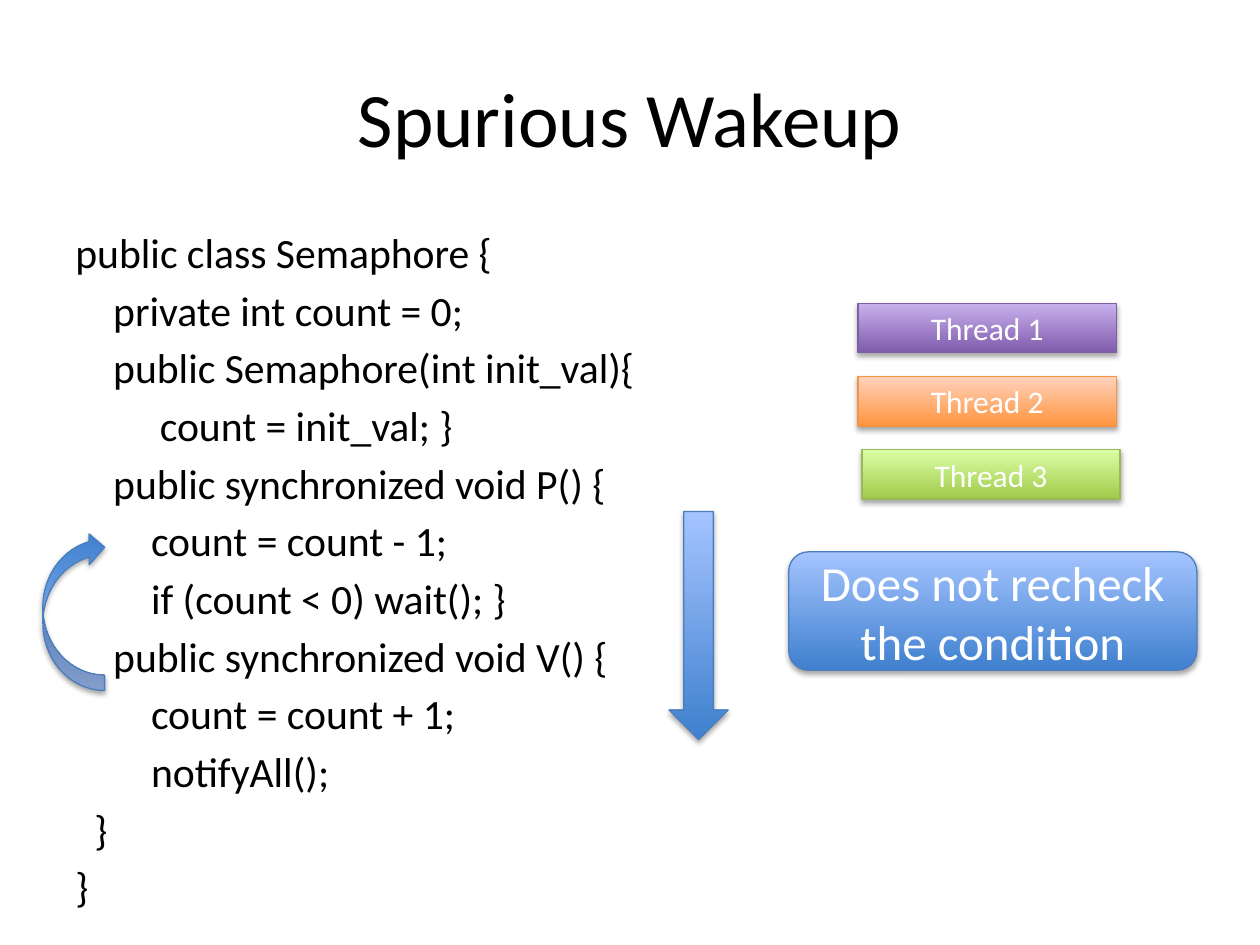
"""Build the Spurious Wakeup slide: semaphore code, three threads and a warning."""
import lxml.etree
import pptx
import pptx.dml.color
import pptx.enum.shapes
import pptx.enum.text
import pptx.oxml.ns
import pptx.util

Inches = pptx.util.Inches
Pt = pptx.util.Pt
qn = pptx.oxml.ns.qn
SHAPES = pptx.enum.shapes.MSO_SHAPE
CENTER = pptx.enum.text.PP_ALIGN.CENTER
MIDDLE = pptx.enum.text.MSO_ANCHOR.MIDDLE
color = pptx.dml.color.RGBColor.from_string


def add_text(paragraph, text, size, text_color):
    run = paragraph.add_run()
    run.text = text
    run.font.size = Pt(size)
    run.font.name = "Calibri"
    run.font.color.rgb = color(text_color)


def add_glossy_shape(kind, box, colors, text="", size=18):
    bottom, top, outline = colors
    shape = slide.shapes.add_shape(kind, *[Inches(length) for length in box])
    shape.fill.gradient()
    shape.fill.gradient_angle = 90
    for stop, stop_color in zip(shape.fill.gradient_stops, (bottom, top)):
        stop.color.rgb = color(stop_color)
    shape.line.color.rgb = color(outline)
    shape.line.width = Pt(0.75)
    shape.shadow.inherit = False
    effects = shape._element.spPr.find(qn("a:effectLst"))
    shadow = lxml.etree.SubElement(
        effects, qn("a:outerShdw"), blurRad=str(Pt(3.1)), dist=str(Pt(1.8)),
        dir="5400000", rotWithShape="0")
    black = lxml.etree.SubElement(shadow, qn("a:srgbClr"), val="000000")
    lxml.etree.SubElement(black, qn("a:alpha"), val="35000")
    if text:
        shape.text_frame.word_wrap = True
        shape.text_frame.vertical_anchor = MIDDLE
        paragraph = shape.text_frame.paragraphs[0]
        paragraph.alignment = CENTER
        add_text(paragraph, text, size, "FFFFFF")
    return shape


presentation = pptx.Presentation()
presentation.slide_width = Inches(10)
presentation.slide_height = Inches(7.5)
slide = presentation.slides.add_slide(presentation.slide_layouts[5])

title = slide.shapes.title
title.left, title.top = Inches(0.5), Inches(0.3)
title.width, title.height = Inches(9), Inches(1.25)
title.text_frame.vertical_anchor = MIDDLE
title_paragraph = title.text_frame.paragraphs[0]
title_paragraph.alignment = CENTER
add_text(title_paragraph, "Spurious Wakeup", 44, "000000")

code_lines = [
    (0, "public class Semaphore {"),
    (0.3, "private int count = 0;"),
    (0.3, "public Semaphore(int init_val){"),
    (0.67, "count = init_val; }"),
    (0.3, "public synchronized void P() {"),
    (0.6, "count = count - 1;"),
    (0.6, "if (count < 0) wait(); }"),
    (0.3, "public synchronized void V() {"),
    (0.6, "count = count + 1;"),
    (0.6, "notifyAll();"),
    (0.15, "}"),
    (0, "}"),
]
code = slide.shapes.add_textbox(Inches(0.5), Inches(1.75), Inches(6.15), Inches(4.95))
code.text_frame.word_wrap = True
for index, (indent, text) in enumerate(code_lines):
    paragraph = code.text_frame.add_paragraph() if index else code.text_frame.paragraphs[0]
    paragraph.space_before = Pt(4.4)
    paragraph._p.get_or_add_pPr().set("marL", str(Inches(indent)))
    add_text(paragraph, text, 23.8, "000000")

threads = [
    (6.81, ("7F5BAB", "C8B0ED", "7D60A0")),
    (6.81, ("FF953E", "FFD2BD", "F69240")),
    (6.84, ("A0CA4A", "DAFFA5", "98B955")),
]
for index, (left, colors) in enumerate(threads):
    add_glossy_shape(SHAPES.RECTANGLE, (left, 2.41 + 0.58 * index, 2.05, 0.39),
                     colors, f"Thread {index + 1}")

blue = ("3F80CE", "A4C4FF", "4B7EBC")
add_glossy_shape(SHAPES.ROUNDED_RECTANGLE, (6.26, 4.38, 3.24, 0.94), blue,
                 "Does not recheck the condition", 28)
add_glossy_shape(SHAPES.DOWN_ARROW, (5.31, 4.06, 0.47, 1.81), blue)
loop_arrow = add_glossy_shape(SHAPES.CURVED_RIGHT_ARROW, (0.34, 4.22, 0.49, 1.26), blue)
loop_arrow.rotation = 180
loop_arrow._element.spPr.find(qn("a:xfrm")).set("flipH", "1")

presentation.save("out.pptx")
